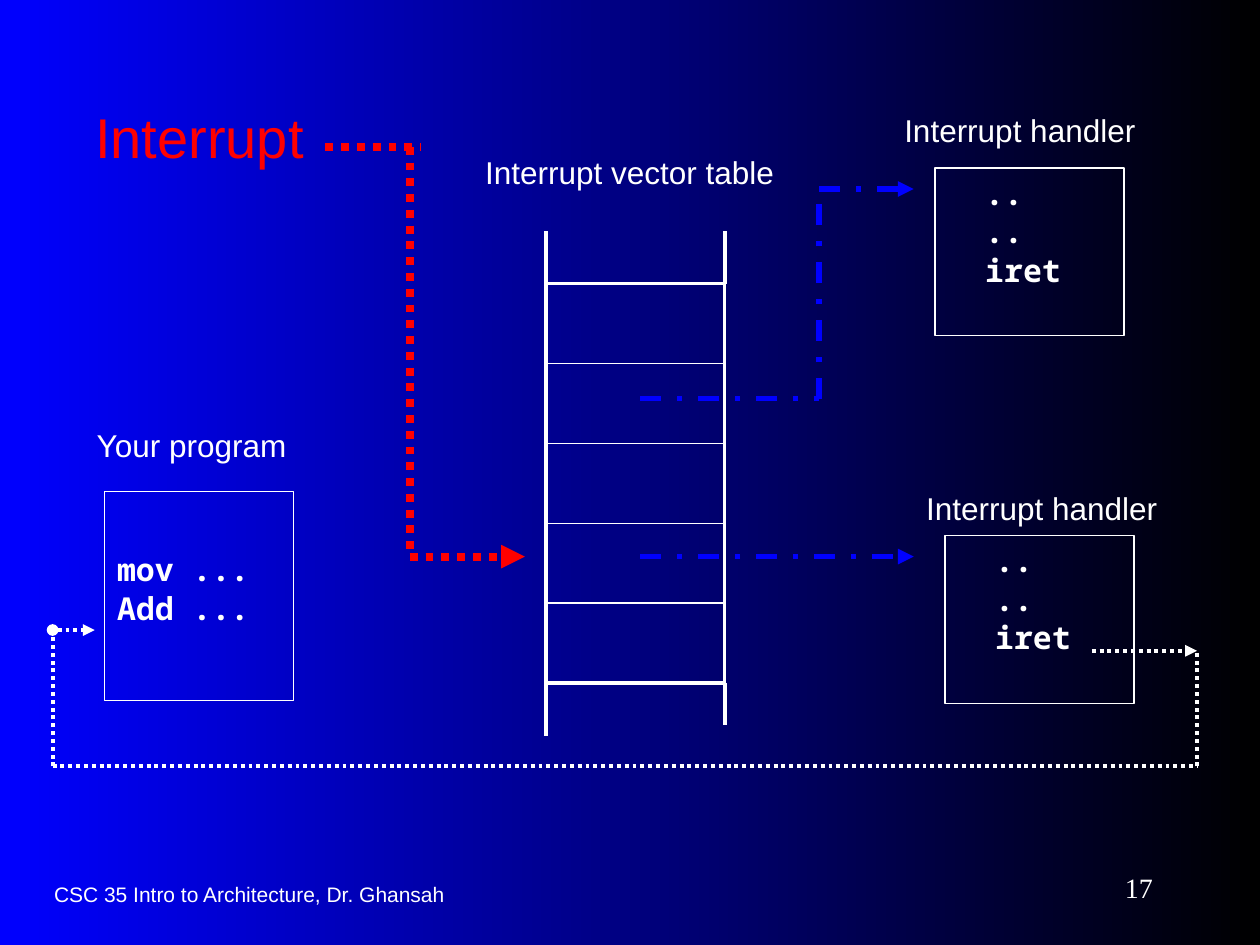
from lxml.etree import SubElement
from pptx import Presentation
from pptx.dml.color import RGBColor
from pptx.enum.dml import MSO_LINE as Dash
from pptx.enum.shapes import MSO_CONNECTOR as Link, MSO_SHAPE as Preset
from pptx.enum.text import MSO_ANCHOR as Anchor, PP_ALIGN as Align
from pptx.oxml.ns import qn
from pptx.util import Cm, Pt

WHITE = RGBColor(0xFF, 0xFF, 0xFF)
RED = RGBColor(0xFF, 0x00, 0x00)
BLUE = RGBColor(0x00, 0x00, 0xFF)
BLACK = RGBColor(0x00, 0x00, 0x00)
SANS = "Arial"
MONO = "Noto Sans Mono"
SERIF = "Times New Roman"
LABEL_HEIGHT = 1.07


def fill_background(slide):
    fill = slide.background.fill
    fill.gradient()
    fill.gradient_angle = 0
    for stop, color, position in zip(fill.gradient_stops, (BLUE, BLACK), (0, 1)):
        stop.color.rgb = color
        stop.position = position


def style_font(font, name, size, color, bold=False):
    font.name = name
    font.size = Pt(size)
    font.color.rgb = color
    font.bold = bold


def add_label(slide, box, text, size=18, color=WHITE, name=SANS,
              align=Align.LEFT, anchor=Anchor.TOP):
    frame = slide.shapes.add_textbox(*map(Cm, box)).text_frame
    frame.word_wrap = True
    frame.vertical_anchor = anchor
    frame.text = text
    frame.paragraphs[0].alignment = align
    style_font(frame.paragraphs[0].runs[0].font, name, size, color)


def add_path(slide, origin, start, end, color, width, dash=None, head=None, tail=None):
    left, top = origin
    (x1, y1), (x2, y2) = start, end
    connector = slide.shapes.add_connector(
        Link.STRAIGHT, Cm(left + x1), Cm(top + y1), Cm(left + x2), Cm(top + y2))
    connector.line.color.rgb = color
    connector.line.width = Pt(width)
    if dash:
        connector.line.dash_style = dash
    properties = connector._element.spPr
    outline = properties.find(qn("a:ln"))
    for tag, kind in (("a:headEnd", head), ("a:tailEnd", tail)):
        if kind:
            SubElement(outline, qn(tag), type=kind)
    SubElement(properties, qn("a:effectLst"))


def add_code_block(slide, label_box, label, code_box, lines, top_inset=0.38):
    add_label(slide, label_box, label)
    block = slide.shapes.add_shape(Preset.RECTANGLE, *map(Cm, code_box))
    block.shadow.inherit = False
    block.fill.background()
    block.line.color.rgb = WHITE
    block.line.width = Pt(0.75)
    frame = block.text_frame
    frame.word_wrap = True
    frame.vertical_anchor = Anchor.TOP
    frame.margin_top = Cm(top_inset)
    frame.text = "\n".join(lines)
    for index, paragraph in enumerate(frame.paragraphs):
        paragraph.alignment = Align.LEFT
        paragraph.line_spacing = 0.6
        if index:
            paragraph.space_before = Pt(9)
        style_font(paragraph.runs[0].font, MONO, 18, WHITE, bold=True)


def add_program(slide, left, top):
    add_code_block(slide, (left, top, 4.45, LABEL_HEIGHT), "Your program",
                   (left + 0.41, top + 1.45, 3.81, 4.22),
                   ["mov ...", "Add ..."], top_inset=1.45)


def add_handler(slide, left, top, block_dx, block_dy):
    add_code_block(slide, (left, top, 5.28, LABEL_HEIGHT), "Interrupt handler",
                   (left + block_dx, top + block_dy, 3.81, 3.38),
                   ["  ..", "  ..", "  iret"])


def border_cell(cell, widths):
    properties = cell._tc.get_or_add_tcPr()
    for side, width in widths.items():
        edge = SubElement(properties, qn(f"a:ln{side}"), w=str(Pt(width)))
        SubElement(SubElement(edge, qn("a:solidFill")), qn("a:srgbClr"), val=str(WHITE))
    cell.fill.background()


def add_vector_table(slide, left, top, width, height, rows=5):
    add_label(slide, (left - 1.48, top - 2.75, 6.55, LABEL_HEIGHT), "Interrupt vector table")
    table = slide.shapes.add_table(
        rows, 1, Cm(left), Cm(top), Cm(width), Cm(height)).table
    table.first_row = table.horz_banding = False
    for index, row in enumerate(table.rows):
        row.height = Cm(height / rows)
        border_cell(row.cells[0], {
            "L": 2.25, "R": 2.25,
            "T": 2.25 if index == 0 else 1,
            "B": 2.25 if index == rows - 1 else 1})
    for x, overhang in ((0, 1.06), (width, 0.84)):
        add_path(slide, (left, top), (x, 0), (x, -1.06), WHITE, 2.25)
        add_path(slide, (left, top), (x, height), (x, height + overhang), WHITE, 2.25)


def add_interrupt(slide, left, top):
    add_label(slide, (left, top, 5.51, 1.7), "Interrupt", 32, RED,
              align=Align.CENTER, anchor=Anchor.MIDDLE)
    for start, end, tail in (
            ((5.29, 1.06), (7.2, 1.06), None),
            ((6.99, 1.06), (6.99, 9.32), None),
            ((6.99, 9.32), (9.31, 9.32), "triangle")):
        add_path(slide, (left, top), start, end, RED, 4.5, Dash.ROUND_DOT, tail=tail)


def add_dispatch(slide, left, top):
    for start, end, tail in (
            ((0, 7.41), (5.51, 7.41), "triangle"),
            ((0, 4.23), (3.6, 4.23), None),
            ((3.6, 4.23), (3.6, 0), None),
            ((3.6, 0), (5.51, 0), "triangle")):
        add_path(slide, (left, top), start, end, BLUE, 3, Dash.DASH_DOT, tail=tail)


def add_return(slide, left, top, width, height):
    for start, end, head, tail in (
            ((0, height), (width, height), None, None),
            ((0, height), (0, 0), None, None),
            ((width, height), (width, 0.42), None, None),
            ((0, 0), (0.85, 0), "oval", "triangle"),
            ((width - 2.12, 0.42), (width, 0.42), None, "triangle")):
        add_path(slide, (left, top), start, end, WHITE, 2.25, Dash.ROUND_DOT, head, tail)


def add_footer(slide, left, top):
    add_label(slide, (left, top + 0.25, 12.27, 0.84),
              "CSC 35 Intro to Architecture, Dr. Ghansah", 12, anchor=Anchor.MIDDLE)
    add_label(slide, (left + 19.91, top, 2.74, LABEL_HEIGHT), "17", 16, name=SERIF,
              align=Align.RIGHT, anchor=Anchor.MIDDLE)


def main():
    deck = Presentation()
    deck.slide_width, deck.slide_height = Cm(25.4), Cm(19.05)
    slide = deck.slides.add_slide(deck.slide_layouts[6])
    fill_background(slide)
    add_footer(slide, 0.84, 17.35)
    add_program(slide, 1.7, 8.46)
    add_handler(slide, 17.98, 2.11, 0.87, 1.28)
    add_handler(slide, 18.42, 9.73, 0.63, 1.07)
    add_vector_table(slide, 11.01, 5.72, 3.6, 8.05)
    add_dispatch(slide, 12.91, 3.81)
    add_interrupt(slide, 1.27, 1.9)
    add_return(slide, 1.06, 12.7, 23.07, 2.75)
    deck.save("out.pptx")


if __name__ == "__main__":
    main()
